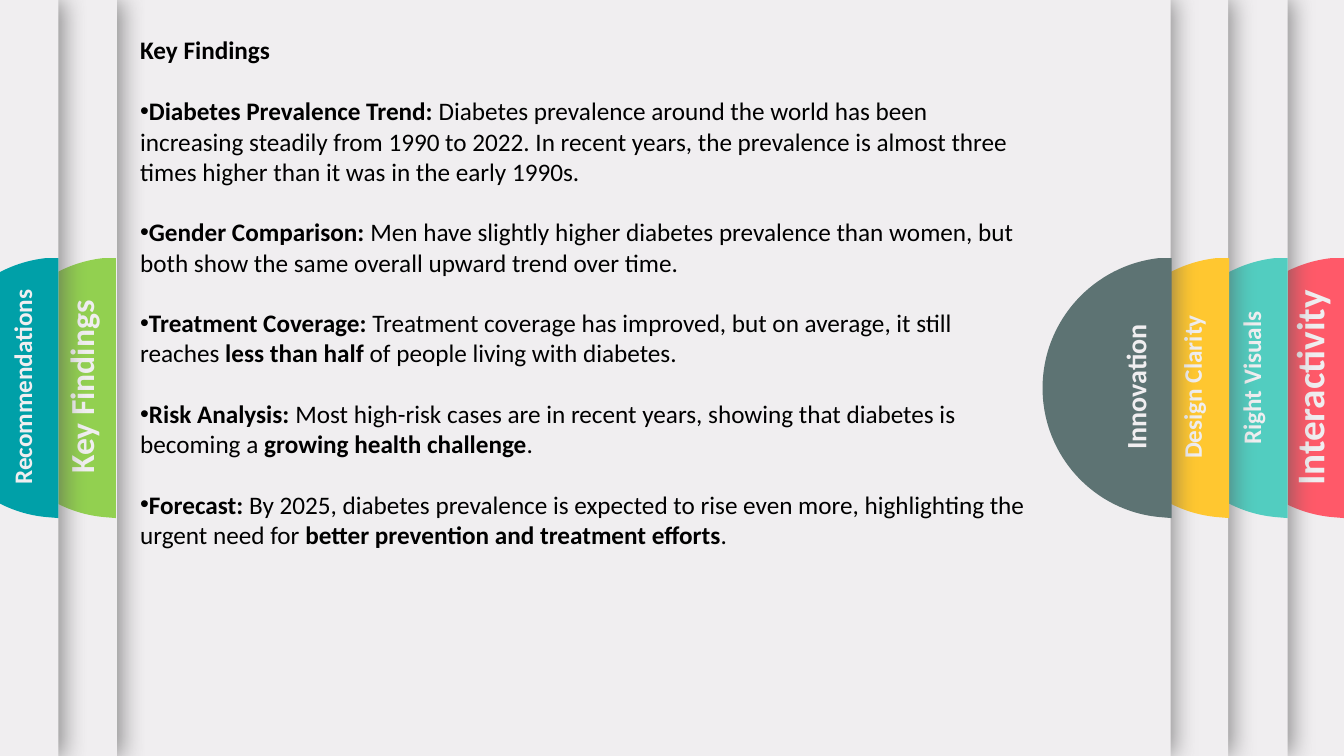
from lxml import etree
from pptx import Presentation
from pptx.dml.color import RGBColor
from pptx.enum.shapes import MSO_SHAPE
from pptx.enum.text import MSO_ANCHOR, MSO_AUTO_SIZE, PP_ALIGN
from pptx.oxml.ns import qn
from pptx.util import Inches, Pt

PALE = RGBColor(0xF0, 0xEE, 0xF0)
BLACK = RGBColor(0, 0, 0)
RED = RGBColor(0xFF, 0x59, 0x69)
TURQUOISE = RGBColor(0x52, 0xCD, 0xC0)
YELLOW = RGBColor(0xFF, 0xC7, 0x30)
SLATE = RGBColor(0x5D, 0x73, 0x73)
GREEN = RGBColor(0x92, 0xD0, 0x50)
TEAL = RGBColor(0x00, 0xA0, 0xA8)
FONT = "Calibri"

SLIDE_HEIGHT = 7.5
TAB_TOP, TAB_MIDDLE, TAB_BOTTOM = 2.56, 3.85, 5.14
TAB_WIDTH = 1.28
TAB_SHOULDER = 0.12  # short straight piece before the curve begins
LABEL_WIDTH = 2.18

# Label, panel left and width, tab right edge, label centre, text size, colour; back to front
PANELS = [
    ("Interactivity", -0.32, 13.65, 13.33, (12.98, 3.85), 28, RED),
    ("Right Visuals", 0.25, 12.52, 12.77, (12.41, 3.75), 18, TURQUOISE),
    ("Design Clarity", 1.29, 10.89, 12.19, (11.82, 3.84), 18, YELLOW),
    ("Innovation", 1.14, 10.47, 11.62, (11.26, 3.84), 20, SLATE),
    ("Key Findings", -8.35, 9.51, 1.15, (0.8, 3.84), 24, GREEN),
    ("Recommendations", -10.27, 10.85, 0.58, (0.22, 3.84), 18, TEAL),
]

# Pieces alternate between bold and regular
FINDINGS = [
    ("Diabetes Prevalence Trend:",
     " Diabetes prevalence around the world has been increasing steadily from 1990 to 2022. "
     "In recent years, the prevalence is almost three times higher than it was in the early 1990s."),
    ("Gender Comparison:",
     " Men have slightly higher diabetes prevalence than women, "
     "but both show the same overall upward trend over time."),
    ("Treatment Coverage:",
     " Treatment coverage has improved, but on average, it still reaches ",
     "less than half", " of people living with diabetes."),
    ("Risk Analysis:",
     " Most high-risk cases are in recent years, showing that diabetes is becoming a ",
     "growing health challenge", "."),
    ("Forecast:",
     " By 2025, diabetes prevalence is expected to rise even more, "
     "highlighting the urgent need for ",
     "better prevention and treatment efforts", "."),
]


def format_run(run, size, color, bold):
    run.font.name = FONT
    run.font.size = Pt(size)
    run.font.color.rgb = color
    run.font.bold = bold


def bend_line(segment, *control_points):
    """Turn a straight path segment into a curve; points are relative to the tab's corner."""
    segment.tag = qn("a:cubicBezTo")
    for index, (x, y) in enumerate(control_points):
        point = etree.Element(qn("a:pt"), x=str(Inches(x)), y=str(Inches(y)))
        segment.insert(index, point)


presentation = Presentation()
presentation.slide_width = Inches(13.33)
presentation.slide_height = Inches(SLIDE_HEIGHT)
slide = presentation.slides.add_slide(presentation.slide_layouts[1])
slide.background.fill.solid()
slide.background.fill.fore_color.rgb = PALE

# Stacked panels, each with a half-round tab on its right edge
for label, left, width, tab_right, (label_x, label_y), size, color in PANELS:
    panel = slide.shapes.add_shape(
        MSO_SHAPE.RECTANGLE, Inches(left), 0, Inches(width), Inches(SLIDE_HEIGHT))
    panel.fill.solid()
    panel.fill.fore_color.rgb = PALE
    panel.line.fill.background()
    panel.shadow.inherit = False
    effects = panel.element.spPr.find(qn("a:effectLst"))
    shadow = etree.SubElement(effects, qn("a:outerShdw"), blurRad=str(Pt(17)),
                              dist=str(Pt(3)), dir="0", algn="l", rotWithShape="0")
    shadow_color = etree.SubElement(shadow, qn("a:srgbClr"), val="595959")
    etree.SubElement(shadow_color, qn("a:alpha"), val="65000")

    shoulder = tab_right - TAB_SHOULDER
    builder = slide.shapes.build_freeform(Inches(tab_right), Inches(TAB_TOP))
    builder.add_line_segments([
        (Inches(tab_right), Inches(TAB_BOTTOM)),
        (Inches(shoulder), Inches(TAB_BOTTOM - 0.01)),
        (Inches(tab_right - TAB_WIDTH), Inches(TAB_MIDDLE)),
        (Inches(shoulder), Inches(TAB_TOP)),
    ], close=True)
    tab = builder.convert_to_shape()
    segments = list(tab.element.iter(qn("a:lnTo")))
    bend_line(segments[2], (0.51, 2.51), (0, 1.96))
    bend_line(segments[3], (0, 0.62), (0.51, 0.07))
    tab.fill.solid()
    tab.fill.fore_color.rgb = color
    tab.line.fill.background()
    tab.shadow.inherit = False

    label_height = size * 1.2 / 72 + 0.1
    label_box = slide.shapes.add_textbox(
        Inches(label_x - LABEL_WIDTH / 2), Inches(label_y - label_height / 2),
        Inches(LABEL_WIDTH), Inches(label_height))
    label_box.rotation = 270
    label_box.text_frame.word_wrap = True
    label_box.text_frame.text = label
    paragraph = label_box.text_frame.paragraphs[0]
    paragraph.alignment = PP_ALIGN.CENTER
    format_run(paragraph.runs[0], size, PALE, True)

# Title and findings lie on top of the panels
title = slide.shapes.title
body = slide.placeholders[1]
for placeholder, top, height in ((title, 0.29, 0.4), (body, 0.9, 4.94)):
    placeholder.element.getparent().append(placeholder.element)
    placeholder.left, placeholder.top = Inches(1.29), Inches(top)
    placeholder.width, placeholder.height = Inches(9), Inches(height)
    placeholder.text_frame.auto_size = MSO_AUTO_SIZE.NONE
    placeholder.text_frame.vertical_anchor = MSO_ANCHOR.TOP
    placeholder.text_frame.word_wrap = True

title.text_frame.text = "Key Findings"
paragraph = title.text_frame.paragraphs[0]
paragraph.alignment = PP_ALIGN.LEFT
format_run(paragraph.runs[0], 18, BLACK, True)

for index, pieces in enumerate(FINDINGS):
    paragraph = body.text_frame.paragraphs[0] if index == 0 else body.text_frame.add_paragraph()
    paragraph.space_before = Pt(21.6 if index else 0)
    properties = paragraph._p.get_or_add_pPr()
    properties.set("marL", "0")
    properties.set("indent", "0")
    etree.SubElement(properties, qn("a:buFont"), typeface="Arial")
    etree.SubElement(properties, qn("a:buChar"), char="•")
    for piece_index, piece in enumerate(pieces):
        run = paragraph.add_run()
        run.text = piece
        format_run(run, 18, BLACK, piece_index % 2 == 0)

presentation.save("out.pptx")
